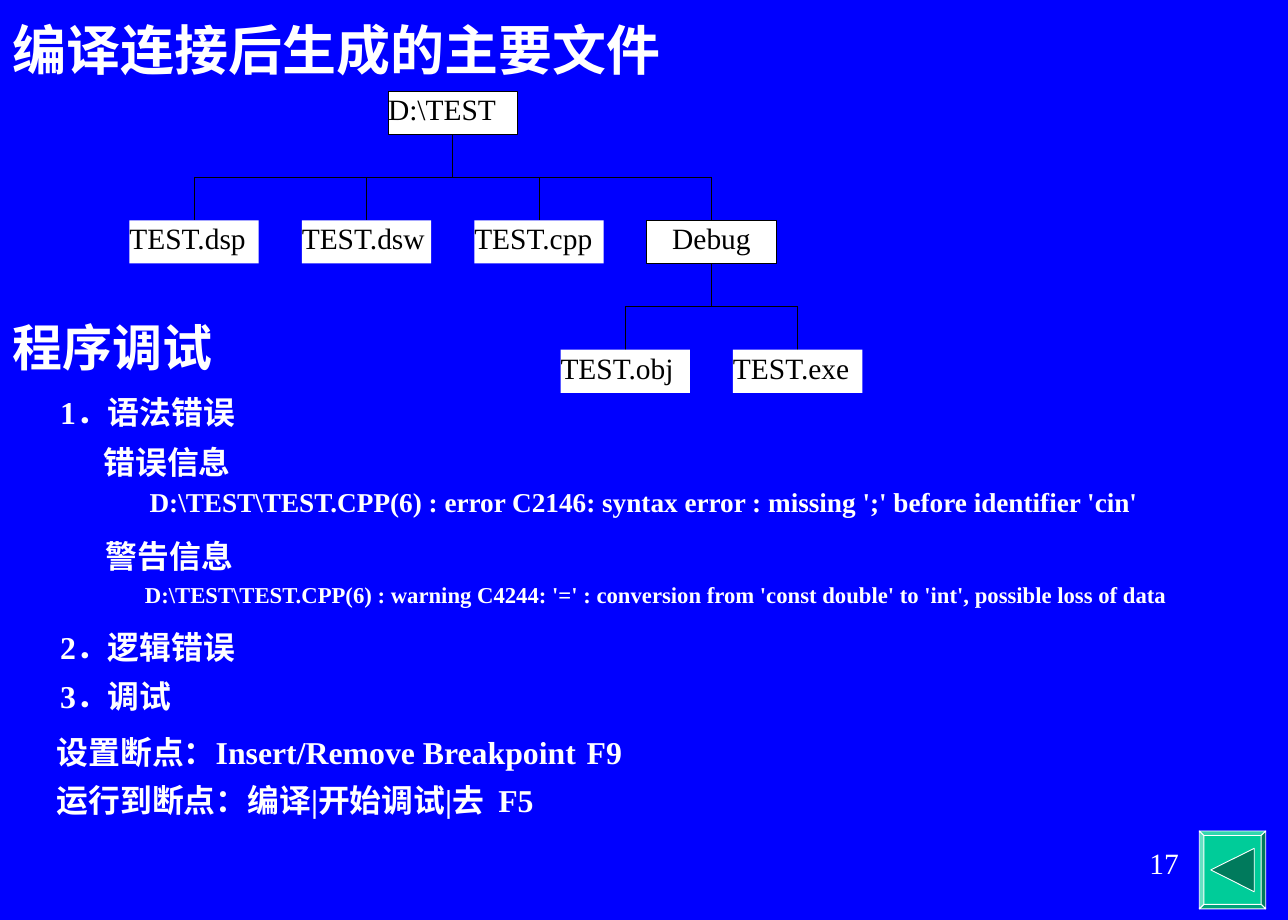
from dataclasses import dataclass

from lxml.etree import SubElement
from pptx import Presentation
from pptx.dml.color import RGBColor
from pptx.enum.shapes import MSO_CONNECTOR, MSO_SHAPE
from pptx.enum.text import MSO_ANCHOR, MSO_AUTO_SIZE, PP_ALIGN
from pptx.oxml.ns import qn
from pptx.util import Cm, Pt


@dataclass(frozen=True)
class Theme:
    font: str = "Times New Roman"
    back: str = "0000FF"
    light: str = "FFFFFF"
    dark: str = "000000"
    face: str = "00CC99"
    pale: str = "33D6AD"
    mint: str = "66E0C2"
    shade: str = "00A37A"
    deep: str = "007A5C"
    title: float = 44
    head: float = 40.7
    item: float = 25.9
    error: float = 22.2
    warn: float = 18.5
    label: float = 24
    line: float = 0.75


THEME = Theme()
UNIT = 1.24  # cm; tree boxes are 3 x 1 units, levels are 3 units apart
TOP = 2.62   # cm; top edge of the root box

# text, size, line height, space before, left margin in cm, alignment
LEFT, MID = PP_ALIGN.LEFT, PP_ALIGN.CENTER
BODY = [
    ("程序调试", THEME.head, 51, 0, 0, LEFT),
    ("1．语法错误", THEME.item, 33, 12, 1.37, LEFT),
    ("错误信息", THEME.item, 33, 7, 2.62, LEFT),
    ("D:\\TEST\\TEST.CPP(6) : error C2146: syntax error : "
     "missing ';' before identifier 'cin'", THEME.error, 26, 5, 0, MID),
    ("警告信息", THEME.item, 33, 13, 2.68, LEFT),
    ("D:\\TEST\\TEST.CPP(6) : warning C4244: '=' : conversion from "
     "'const double' to 'int', possible loss of data",
     THEME.warn, 22, 5, 0.64, MID),
    ("2．逻辑错误", THEME.item, 33, 14, 1.37, LEFT),
    ("3．调试", THEME.item, 33, 7, 1.37, LEFT),
    ("\t设置断点：Insert/Remove Breakpoint\tF9", THEME.item, 33, 13, 0, LEFT),
    ("\t运行到断点：编译|开始调试|去\tF5", THEME.item, 33, 6, 0, LEFT),
]
TABS = (3.89, 21.69)


def rgb(code):
    return RGBColor.from_string(code)


def style(para, size, color, bold=False):
    font = para.font
    font.name, font.size, font.bold = THEME.font, Pt(size), bold
    font.color.rgb = rgb(color)


def place(shape, left, top, width, height):
    """Set a shape's frame in cm and give it the slide's text margins."""
    shape.left, shape.top = Cm(left), Cm(top)
    shape.width, shape.height = Cm(width), Cm(height)
    frame = shape.text_frame
    frame.word_wrap = True
    frame.auto_size = MSO_AUTO_SIZE.NONE
    frame.vertical_anchor = MSO_ANCHOR.TOP
    frame.margin_left = frame.margin_right = Cm(0.36)
    frame.margin_top = frame.margin_bottom = Cm(0.18)
    return frame


def write(para, text, size, line, before, margin, align):
    """Fill one white bold paragraph without a bullet."""
    para.text = text
    para.alignment = align
    para.line_spacing, para.space_before = Pt(line), Pt(before)
    props = para._p.get_or_add_pPr()
    props.set("marL", str(Cm(margin)))
    props.set("indent", "0")
    SubElement(props, qn("a:buNone"))
    if "\t" in text:
        stops = SubElement(props, qn("a:tabLst"))
        for pos in TABS:
            SubElement(stops, qn("a:tab"), pos=str(Cm(pos)), algn="l")
    style(para, size, THEME.light, True)


def fill_body(frame):
    for index, row in enumerate(BODY):
        para = frame.add_paragraph() if index else frame.paragraphs[0]
        write(para, *row)


def stroke(slide, start, end):
    """Draw a thin line between two points given in tree units."""
    (x1, y1), (x2, y2) = [
        (Cm(x * UNIT), Cm(TOP + y * UNIT)) for x, y in (start, end)]
    line = slide.shapes.add_connector(MSO_CONNECTOR.STRAIGHT, x1, y1, x2, y2)
    line.line.color.rgb = rgb(THEME.dark)
    line.line.width = Pt(THEME.line)
    SubElement(line._element.spPr, qn("a:effectLst"))


def node(slide, text, col, level, framed=False, align=LEFT):
    box = slide.shapes.add_shape(
        MSO_SHAPE.RECTANGLE, Cm(col * UNIT), Cm(TOP + 3 * level * UNIT),
        Cm(3 * UNIT), Cm(UNIT))
    box.shadow.inherit = False
    box.fill.solid()
    box.fill.fore_color.rgb = rgb(THEME.light)
    if framed:
        box.line.color.rgb = rgb(THEME.dark)
        box.line.width = Pt(THEME.line)
    else:
        box.line.fill.background()
    frame = box.text_frame
    frame.margin_left = frame.margin_right = 0
    frame.margin_top = frame.margin_bottom = 0
    frame.vertical_anchor = MSO_ANCHOR.TOP
    para = frame.paragraphs[0]
    para.text, para.alignment = text, align
    style(para, THEME.label, THEME.dark)


def branch(slide, col, level, kids):
    """Join the box at col to the row of files below it."""
    top = 3 * level + 1
    mids = [kid + 1.5 for kid in kids]
    stroke(slide, (col + 1.5, top), (col + 1.5, top + 1))
    stroke(slide, (mids[0], top + 1), (mids[-1], top + 1))
    for mid in mids:
        stroke(slide, (mid, top + 1), (mid, top + 2))


def draw_tree(slide):
    files = {"TEST.dsp": 3, "TEST.dsw": 7, "TEST.cpp": 11}
    builds = {"TEST.obj": 13, "TEST.exe": 17}
    root, debug = 9, 15
    branch(slide, root, 0, [*files.values(), debug])
    branch(slide, debug, 1, [*builds.values()])
    node(slide, "D:\\TEST", root, 0, True)
    node(slide, "Debug", debug, 1, True, MID)
    for level, group in ((1, files), (2, builds)):
        for name, col in group.items():
            node(slide, name, col, level)


def facet(slide, points, color):
    """Draw one closed outline with corners in cm."""
    first, *rest = [(Cm(x), Cm(y)) for x, y in points]
    pen = slide.shapes.build_freeform(*first, scale=1.0)
    pen.add_line_segments(rest, close=True)
    shape = pen.convert_to_shape()
    shape.shadow.inherit = False
    shape.fill.solid()
    shape.fill.fore_color.rgb = rgb(color)
    shape.line.color.rgb = rgb(THEME.light)
    shape.line.width = Pt(THEME.line)


def draw_button(slide):
    left, top, right, low, edge = 34.49, 23.9, 36.4, 26.14, 0.13
    outer = [(left, top), (right, top), (right, low), (left, low)]
    inner = [(left + edge, top + edge), (right - edge, top + edge),
             (right - edge, low - edge), (left + edge, low - edge)]
    facet(slide, inner, THEME.face)
    sides = (THEME.pale, THEME.deep, THEME.shade, THEME.mint)
    for i, color in enumerate(sides):
        j = (i + 1) % 4
        facet(slide, [outer[i], outer[j], inner[j], inner[i]], color)
    facet(slide, [(34.82, 25.02), (36.07, 24.4), (36.07, 25.65)], THEME.deep)


def add_page(slide):
    box = slide.shapes.add_textbox(0, 0, 0, 0)
    para = place(box, 26.54, 24.13, 7.72, 1.75).paragraphs[0]
    para.text, para.alignment = "17", PP_ALIGN.RIGHT
    style(para, THEME.label, THEME.light)


def main():
    deck = Presentation()
    deck.slide_width, deck.slide_height = Cm(37.04), Cm(26.46)
    slide = deck.slides.add_slide(deck.slide_layouts[1])
    slide.background.fill.solid()
    slide.background.fill.fore_color.rgb = rgb(THEME.back)
    title, body = slide.placeholders
    frame = place(title, 0, 0.23, 21.92, 2.79)
    write(frame.paragraphs[0], "编译连接后生成的主要文件",
          THEME.title, 55, 0, 0, LEFT)
    fill_body(place(body, 0, 8.84, 37.04, 14.63))
    draw_tree(slide)
    draw_button(slide)
    add_page(slide)
    deck.save("out.pptx")


if __name__ == "__main__":
    main()
